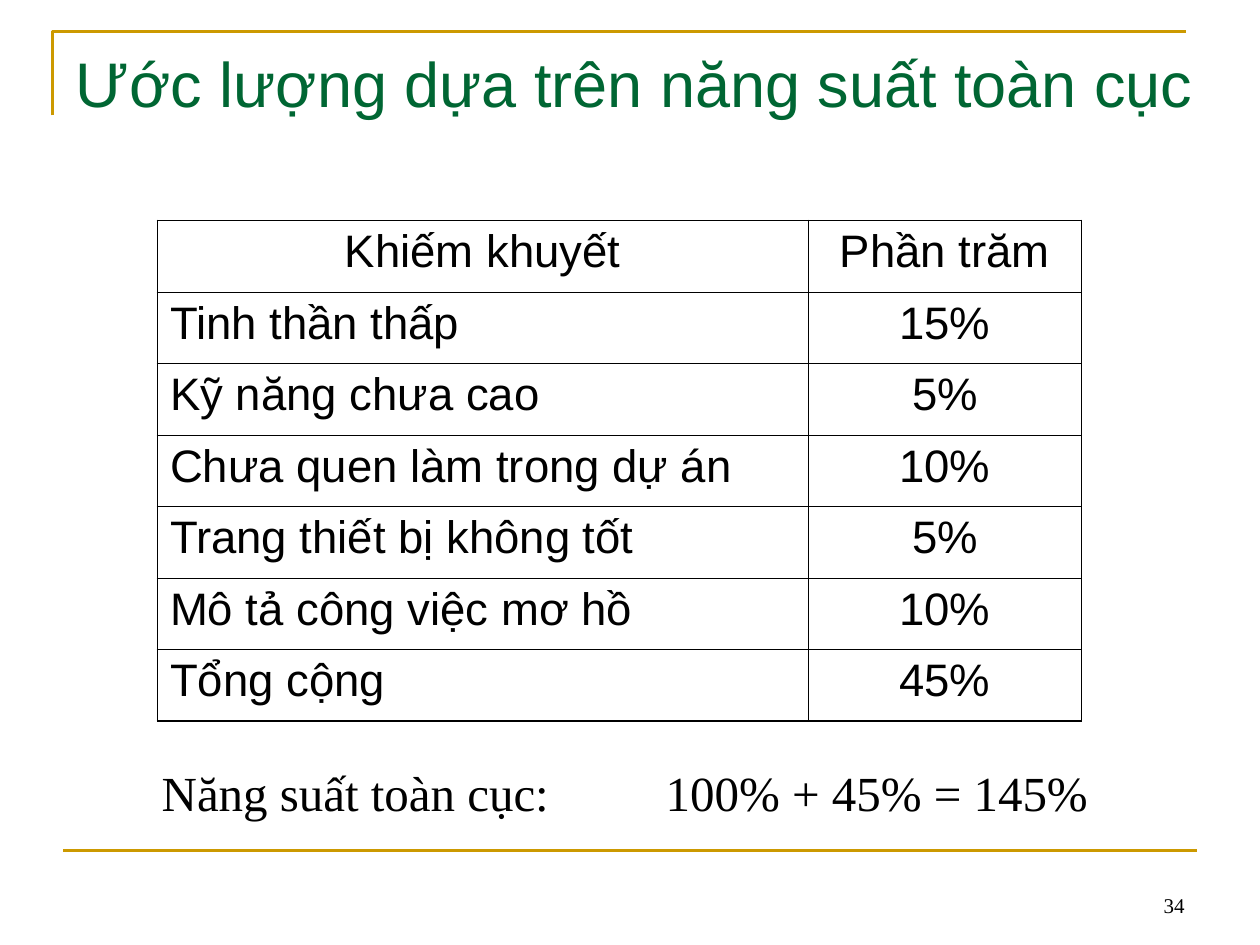
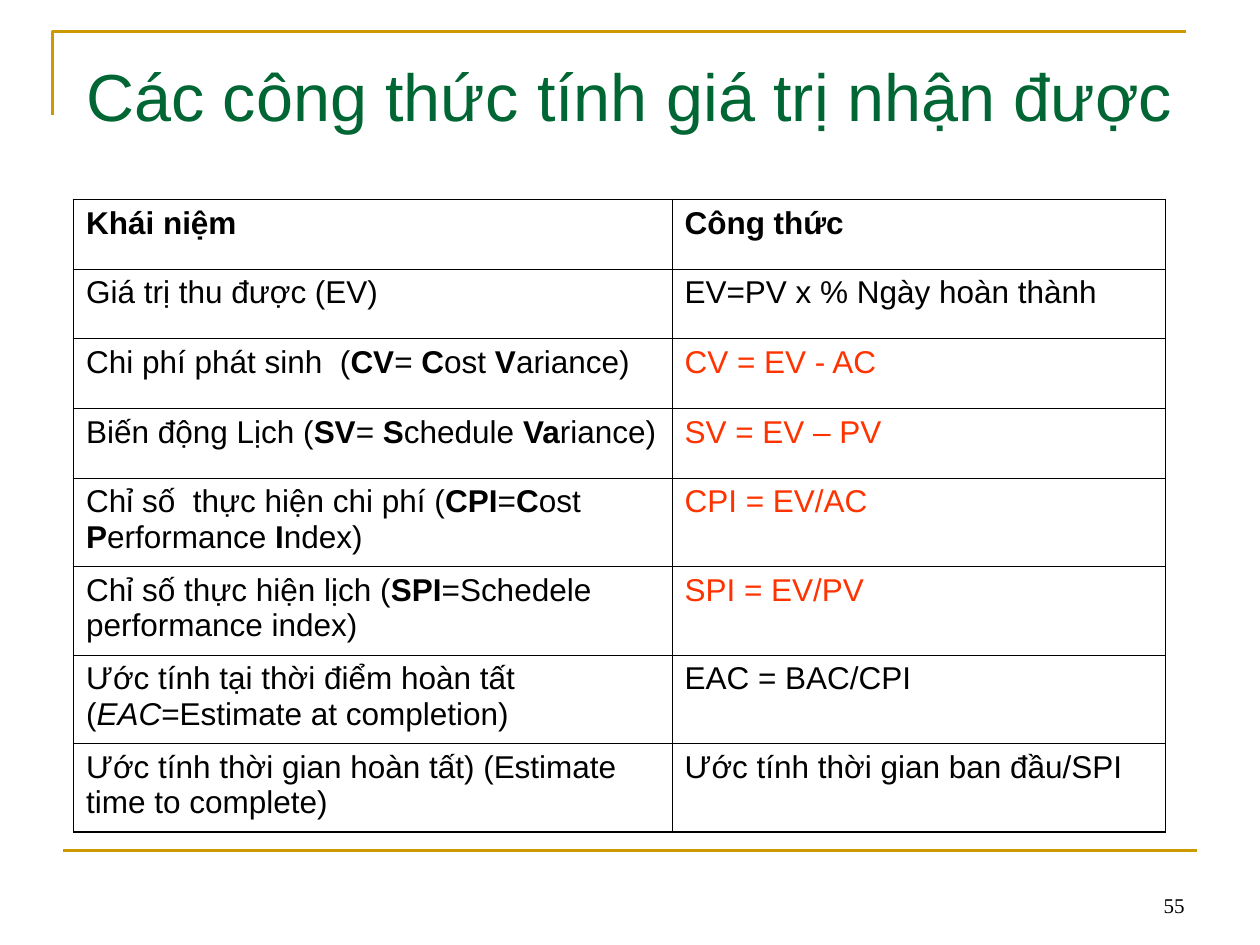
"""Two slides on productivity estimates and earned value formulas."""
from lxml import etree
from pptx import Presentation
from pptx.dml.color import RGBColor
from pptx.enum.shapes import MSO_CONNECTOR
from pptx.enum.text import MSO_ANCHOR, MSO_AUTO_SIZE, PP_ALIGN
from pptx.oxml.ns import qn
from pptx.util import Inches, Pt

LEFT, CENTER, RIGHT = PP_ALIGN.LEFT, PP_ALIGN.CENTER, PP_ALIGN.RIGHT
TOP, MIDDLE, BOTTOM = MSO_ANCHOR.TOP, MSO_ANCHOR.MIDDLE, MSO_ANCHOR.BOTTOM
NO_FIT = MSO_AUTO_SIZE.NONE
STRAIGHT = MSO_CONNECTOR.STRAIGHT

GOLD, GREEN, BLACK, RED = "CC9900", "006633", "000000", "FF3300"
SANS, SERIF = "Arial", "Times New Roman"
OUTER, INNER = Pt(1.08), Pt(0.45)

deck = Presentation()
deck.slide_width, deck.slide_height = Inches(10), Inches(7.5)
GRID = deck.slide_width // 120


def paint(target, color):
    """Give a colour format the colour of a hex string."""
    target.rgb = RGBColor.from_string(color)


def write(paragraph, text, size, face=SANS, color=BLACK, align=LEFT):
    """Write text in one style; *bold* and _italic_ parts are marked."""
    mark = "_" if "_" in text else "*"
    paragraph.alignment = align
    font = paragraph.font
    font.size, font.name = Pt(size), face
    paint(font.color, color)
    for index, part in enumerate(text.split(mark)):
        if part:
            run = paragraph.add_run()
            run.text = part
            if index % 2:
                run.font.bold, run.font.italic = mark == "*", mark == "_"


drawbacks = [
    ("Khiếm khuyết", "Phần trăm"),
    ("Tinh thần thấp", "15%"),
    ("Kỹ năng chưa cao", "5%"),
    ("Chưa quen làm trong dự án", "10%"),
    ("Trang thiết bị không tốt", "5%"),
    ("Mô tả công việc mơ hồ", "10%"),
    ("Tổng cộng", "45%"),
]
formulas = [
    ("*Khái niệm*", "*Công thức*"),
    ("Giá trị thu được (EV)", "EV=PV x % Ngày hoàn thành"),
    ("Chi phí phát sinh  (*CV*= *C*ost *V*ariance)", "CV = EV - AC"),
    ("Biến động Lịch (*SV*= *S*chedule *Va*riance)", "SV = EV – PV"),
    ("Chỉ số  thực hiện chi phí (*CPI*=*C*ost *P*erformance *I*ndex)", "CPI = EV/AC"),
    ("Chỉ số thực hiện lịch (*SPI*=Schedele performance index)", "SPI = EV/PV"),
    ("Ước tính tại thời điểm hoàn tất (_EAC_=Estimate at completion)", "EAC = BAC/CPI"),
    ("Ước tính thời gian hoàn tất) (Estimate time to complete)",
     "Ước tính thời gian ban đầu/SPI"),
]
pages = [
    dict(number="34", heading="Ước lượng dựa trên năng suất toàn cục", heading_size=36,
         heading_box=(6, 3.6, 110, 15), anchor=TOP,
         rows=drawbacks, corner=(15, 21), columns=(62, 26), heights=[6.81] * 7,
         size=26, centered=True, red_rows=()),
    dict(number="55", heading="Các công thức tính giá trị nhận được", heading_size=38,
         heading_box=(7, 4, 107, 10), anchor=MIDDLE,
         rows=formulas, corner=(7, 19), columns=(57, 47), heights=[6.63] * 4 + [8.43] * 4,
         size=18, centered=False, red_rows=range(2, 6)),
]

for page in pages:
    slide = deck.slides.add_slide(deck.slide_layouts[5])
    shapes = slide.shapes

    outline = shapes.build_freeform(5, 11, scale=GRID)
    outline.add_line_segments([(5, 3), (113, 3)], close=False)
    bracket = outline.convert_to_shape()
    bracket.fill.background()
    bracket.shadow.inherit = False
    footer_rule = shapes.add_connector(STRAIGHT, 6 * GRID, 81 * GRID, 114 * GRID, 81 * GRID)
    for rule in (bracket, footer_rule):
        rule.line.width = Pt(1.5)
        paint(rule.line.color, GOLD)
    etree.SubElement(footer_rule._element.spPr, qn("a:effectLst"))

    heading = shapes.title
    heading.left, heading.top, heading.width, heading.height = (
        round(part * GRID) for part in page["heading_box"])
    heading.text_frame.auto_size = NO_FIT
    heading.text_frame.vertical_anchor = page["anchor"]
    write(heading.text_frame.paragraphs[0], page["heading"], page["heading_size"], color=GREEN)

    rows, columns, heights = page["rows"], page["columns"], page["heights"]
    left, top = page["corner"]
    table = shapes.add_table(len(rows), len(columns), left * GRID, top * GRID,
                             sum(columns) * GRID, round(sum(heights) * GRID)).table
    table.first_row = table.horz_banding = False
    for column, width in zip(table.columns, columns):
        column.width = width * GRID
    for r, (row, height) in enumerate(zip(rows, heights)):
        table.rows[r].height = round(height * GRID)
        for c, text in enumerate(row):
            cell = table.cell(r, c)
            edges = {"a:lnL": c == 0, "a:lnR": c == len(row) - 1,
                     "a:lnT": r == 0, "a:lnB": r == len(rows) - 1}
            for tag, is_outer in edges.items():
                border = etree.SubElement(cell._tc.get_or_add_tcPr(), qn(tag),
                                          w=str(OUTER if is_outer else INNER))
                fill = etree.SubElement(border, qn("a:solidFill"))
                etree.SubElement(fill, qn("a:srgbClr"), val=BLACK)
            cell.fill.background()
            write(cell.text_frame.paragraphs[0], text, page["size"],
                  color=RED if c and r in page["red_rows"] else BLACK,
                  align=CENTER if page["centered"] and (c or r == 0) else LEFT)

    page_number = shapes.add_textbox(86 * GRID, 82 * GRID, 28 * GRID, 6 * GRID).text_frame
    page_number.word_wrap = True
    page_number.vertical_anchor = BOTTOM
    write(page_number.paragraphs[0], page["number"], 12, SERIF, align=RIGHT)

overall = deck.slides[0].shapes.add_textbox(
    14 * GRID, 72 * GRID, 91 * GRID, round(6.8 * GRID)).text_frame
overall.word_wrap = True
equation = overall.paragraphs[0]
tab_stops = etree.SubElement(equation._p.get_or_add_pPr(), qn("a:tabLst"))
etree.SubElement(tab_stops, qn("a:tab"), pos=str(48 * GRID), algn="l")
write(equation, "Năng suất toàn cục:\t100% + 45% = 145%", 28, SERIF, align=CENTER)

deck.save("out.pptx")
